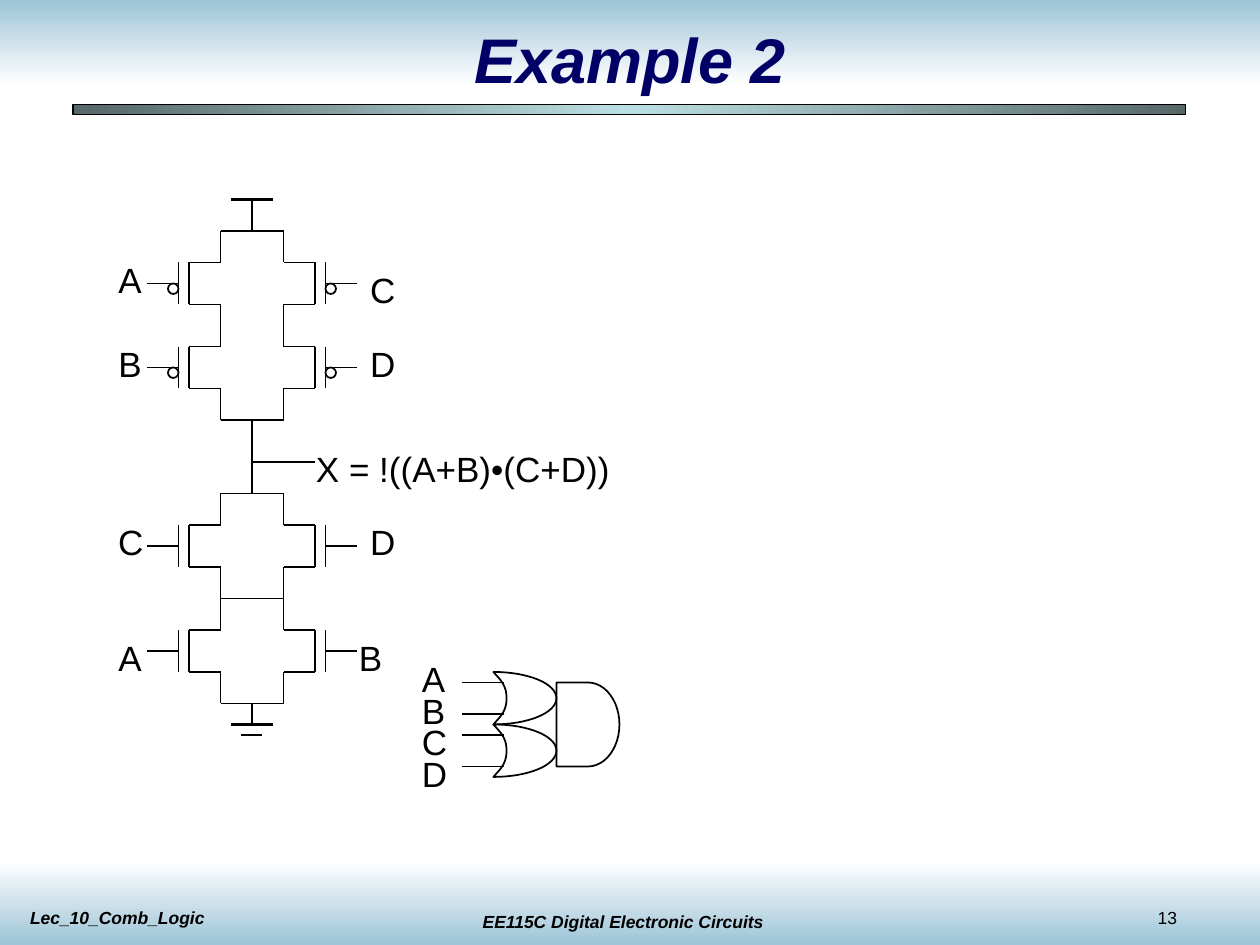
"""Build the Example 2 slide: a complementary gate schematic and its logic symbol."""
import lxml.etree
import pptx
import pptx.dml.color
import pptx.enum.shapes
import pptx.enum.text
import pptx.oxml.ns
import pptx.util

Inches, Pt = pptx.util.Inches, pptx.util.Pt
SHAPE = pptx.enum.shapes.MSO_SHAPE
ALIGN = pptx.enum.text.PP_ALIGN
ANCHOR = pptx.enum.text.MSO_ANCHOR
AUTO = pptx.enum.text.MSO_AUTO_SIZE
qn = pptx.oxml.ns.qn

COLORS = {"ink": "000000", "title": "000066", "sky": "9DC4D7", "white": "FFFFFF",
          "slate": "566768", "aqua": "BBE0E3"}
GRID = 1 / 12
AXIS = 24

BANDS = [
    ((0, 0, 10, 0.67), ("sky", "white"), 270, False),
    ((0, 6.83, 10, 0.67), ("white", "sky"), 270, False),
    ((0.58, 0.83, 8.83, 0.08), ("slate", "aqua", "slate"), 0, True),
]
FOOTERS = [
    ("EE115C Digital Electronic Circuits", (3.53, 7.18, 2.83, 0.27), True, ALIGN.CENTER),
    ("13", (9.09, 7.15, 0.83, 0.27), False, ALIGN.LEFT),
    ("Lec_10_Comb_Logic", (0.14, 7.15, 2.83, 0.27), True, ALIGN.LEFT),
]
LABELS = [
    ("A", 0.84, 2), ("B", 0.84, 2.67), ("C", 0.84, 4.08), ("A", 0.84, 5),
    ("C", 2.84, 2.08), ("D", 2.84, 2.67), ("D", 2.84, 4.08), ("B", 2.75, 5),
    ("X = !((A+B)•(C+D))", 2.41, 3.5),
] + [(name, 3.25, 5.17 + 0.25 * i) for i, name in enumerate("ABCD")]
WIDTHS = {"A": 0.38, "B": 0.38, "C": 0.4, "D": 0.4}

# Schematic positions below are in twelfths of an inch.
TRANSISTORS = [(25, True), (33, True), (50, False), (60, False)]
TRANSISTOR_LINES = [(18, 0, 21, 0), (18, 0, 18, 4), (18, 4, 21, 4), (17, 0, 17, 4),
                    (21, 4, 21, 7), (14, 2, 17, 2), (21, -3, 21, 0)]
WIRES = [(21, y, 27, y) for y in (22, 40, 47, 57, 67)] + [
    (24, 19, 24, 22), (24, 40, 24, 47), (24, 44, 30, 44), (24, 67, 24, 69), (23, 70, 25, 70),
] + [(44, y, 48, y) for y in (65, 68, 70, 73)]
RAILS = [(22, 19, 26, 19), (22, 69, 26, 69)]
OR_GATES = [(47, 64), (47, 69)]
OR_CURVES = [
    ((0, 0), (0.6, 0.7), (1.25, 1.2), (1.25, 2.5)),
    ((1.25, 2.5), (1.25, 3.8), (0.6, 4.3), (0, 5)),
    ((0, 5), (3.3, 5), (6, 3.9), (6, 2.5)),
    ((6, 2.5), (6, 1.1), (3.3, 0), (0, 0)),
]


def rgb(name):
    return pptx.dml.color.RGBColor.from_string(COLORS[name])


def set_line(line, width=1):
    line.color.rgb = rgb("ink")
    line.width = Pt(width)


def add_band(s, box, stops, angle, outlined):
    sp = s.shapes.add_shape(SHAPE.RECTANGLE, *map(Inches, box))
    sp.shadow.inherit = False
    sp.fill.gradient()
    sp.fill.gradient_angle = angle
    gs_list = sp.element.spPr.find(".//" + qn("a:gsLst"))
    for gs in list(gs_list):
        gs_list.remove(gs)
    for i, name in enumerate(stops):
        gs = lxml.etree.SubElement(gs_list, qn("a:gs"), pos=str(100000 * i // (len(stops) - 1)))
        lxml.etree.SubElement(gs, qn("a:srgbClr"), val=COLORS[name])
    if outlined:
        set_line(sp.line, 0.75)
    else:
        sp.line.fill.background()


def write(tf, text, size, color="ink", strong=False, align=ALIGN.LEFT):
    p = tf.paragraphs[0]
    p.alignment = align
    r = p.add_run()
    r.text = text
    font = {"name": "Arial", "size": Pt(size), "bold": strong, "italic": strong}
    for key, value in font.items():
        setattr(r.font, key, value)
    r.font.color.rgb = rgb(color)


def add_text(s, text, box, size, wrap, **style):
    tf = s.shapes.add_textbox(*map(Inches, box)).text_frame
    tf.word_wrap = wrap
    tf.auto_size = AUTO.SHAPE_TO_FIT_TEXT
    write(tf, text, size, **style)


def add_wire(s, x1, y1, x2, y2, width=1):
    ends = [Inches(v * GRID) for v in (x1, y1, x2, y2)]
    sp = s.shapes.add_connector(pptx.enum.shapes.MSO_CONNECTOR.STRAIGHT, *ends)
    set_line(sp.line, width)
    lxml.etree.SubElement(sp.element.spPr, qn("a:effectLst"))


def outline(sp):
    sp.shadow.inherit = False
    sp.fill.background()
    set_line(sp.line)


def add_symbol(s, kind, *box):
    outline(s.shapes.add_shape(kind, *[Inches(v * GRID) for v in box]))


def add_transistor(s, y, inverted, mirrored):
    def place(x):
        return 2 * AXIS - x if mirrored else x

    for x1, y1, x2, y2 in TRANSISTOR_LINES:
        add_wire(s, place(x1), y + y1, place(x2), y + y2)
    if inverted:
        add_symbol(s, SHAPE.OVAL, min(place(16), place(17)), y + 2, 1, 1)


def bezier(points, t):
    weights = ((1 - t) ** 3, 3 * t * (1 - t) ** 2, 3 * t * t * (1 - t), t ** 3)
    return [sum(w * pt[axis] for w, pt in zip(weights, points)) for axis in (0, 1)]


def add_or_gate(s, left, top, steps=16):
    curve = [bezier(c, i / steps) for c in OR_CURVES for i in range(1, steps + 1)]
    points = [(Inches((left + x) * GRID), Inches((top + y) * GRID)) for x, y in curve]
    builder = s.shapes.build_freeform(*points[-1])
    builder.add_line_segments(points[:-1], close=True)
    outline(builder.convert_to_shape())


def main():
    prs = pptx.Presentation()
    prs.slide_width, prs.slide_height = Inches(10), Inches(7.5)
    s = prs.slides.add_slide(prs.slide_layouts[5])
    for band in BANDS:
        add_band(s, *band)
    for text, box, strong, align in FOOTERS:
        add_text(s, text, box, 10, True, strong=strong, align=align)

    title = s.shapes.title
    title.left, title.top, title.width, title.height = map(Inches, (0.75, 0.17, 8.5, 0.58))
    tf = title.text_frame
    tf.vertical_anchor = ANCHOR.MIDDLE
    tf.auto_size = AUTO.NONE
    write(tf, "Example 2", 36, "title", True, ALIGN.CENTER)
    s.shapes._spTree.append(title.element)

    for y, inverted in TRANSISTORS:
        for mirrored in (False, True):
            add_transistor(s, y, inverted, mirrored)
    for wire in WIRES:
        add_wire(s, *wire)
    for rail in RAILS:
        add_wire(s, *rail, width=2.25)
    add_symbol(s, SHAPE.FLOWCHART_DELAY, 53, 65, 6, 8)
    for gate in OR_GATES:
        add_or_gate(s, *gate)
    for text, x, y in LABELS:
        add_text(s, text, (x, y, WIDTHS.get(text, 2.53), 0.44), 20, False)
    prs.save("out.pptx")


if __name__ == "__main__":
    main()
